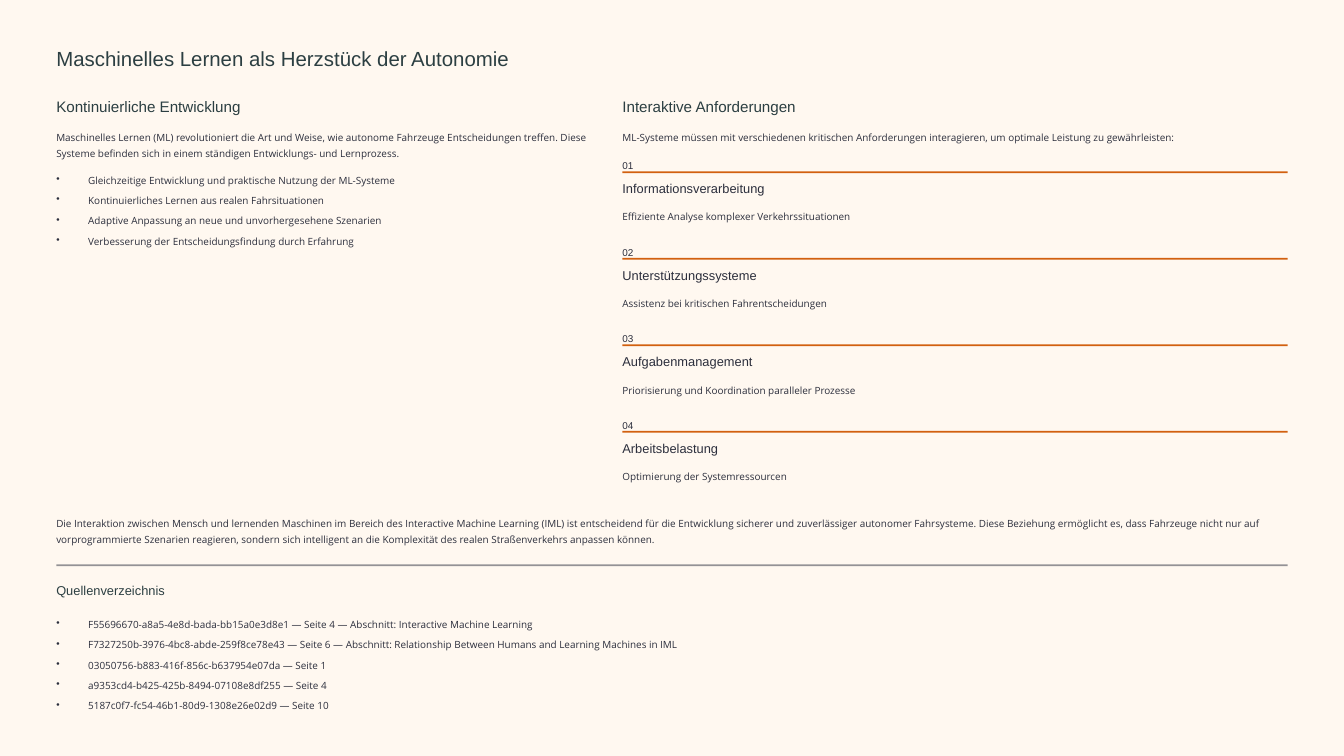
from dataclasses import dataclass

from lxml.etree import SubElement
from pptx import Presentation
from pptx.dml.color import RGBColor
from pptx.enum.shapes import MSO_SHAPE
from pptx.enum.text import MSO_ANCHOR, MSO_AUTO_SIZE, PP_ALIGN
from pptx.oxml.ns import qn
from pptx.util import Inches, Pt


@dataclass(frozen=True)
class Theme:
    paper: str = "FFF8F0"
    head: str = "2C3F42"
    ink: str = "2B2E3C"
    accent: str = "D2600F"
    sans: str = "Arial"
    prose: str = "Open Sans"
    title: float = 17.5
    section: float = 13
    topic: float = 11
    body: float = 8.5
    line: float = 14
    gap: float = 3.5


class Page:
    """Draws text and rules on one slide in a shared theme."""

    def __init__(self, deck, theme):
        self.theme = theme
        self.slide = deck.slides.add_slide(deck.slide_layouts[5])
        fill = self.slide.background.fill
        fill.solid()
        fill.fore_color.rgb = RGBColor.from_string(theme.paper)

    def style(self, shape, lines, size, face, color, pitch, wrap):
        frame = shape.text_frame
        frame.text = "\n".join(lines)
        frame.auto_size = MSO_AUTO_SIZE.NONE
        frame.word_wrap = wrap
        frame.vertical_anchor = MSO_ANCHOR.TOP
        frame.margin_left = frame.margin_right = 0
        frame.margin_top = frame.margin_bottom = 0
        for para in frame.paragraphs:
            para.alignment = PP_ALIGN.LEFT
            para.line_spacing = Pt(pitch)
            for run in para.runs:
                run.font.size = Pt(size)
                run.font.name = face
                run.font.color.rgb = RGBColor.from_string(color)

    def box(self, left, top, width, height):
        return self.slide.shapes.add_textbox(
            Inches(left), Inches(top), Inches(width), Inches(height))

    def title(self, text, left, top, width, height):
        shape = self.slide.shapes.title
        shape.left, shape.top = Inches(left), Inches(top)
        shape.width, shape.height = Inches(width), Inches(height)
        t = self.theme
        self.style(shape, [text], t.title, t.sans, t.head, 22, False)

    def section(self, text, left, top, width):
        t = self.theme
        self.style(self.box(left, top, width, 0.23), [text],
                   t.section, t.sans, t.head, 16.5, False)

    def topic(self, text, left, top, width, color):
        t = self.theme
        self.style(self.box(left, top, width, 0.19), [text],
                   t.topic, t.sans, color, t.line, False)

    def label(self, text, left, top):
        t = self.theme
        self.style(self.box(left, top, 0.12, 0.16), [text],
                   t.body, t.sans, t.ink, t.line, False)

    def prose(self, text, left, top, width, height=0.2, wrap=False):
        t = self.theme
        self.style(self.box(left, top, width, height), [text],
                   t.body, t.prose, t.ink, t.line, wrap)

    def bullets(self, items, left, top, width):
        t = self.theme
        height = 0.2 + (len(items) - 1) * (t.line + t.gap) / 72
        shape = self.box(left, top, width, height)
        self.style(shape, items, t.body, t.prose, t.ink, t.line, False)
        for index, para in enumerate(shape.text_frame.paragraphs):
            if index:
                para.space_before = Pt(t.gap)
            props = para._p.get_or_add_pPr()
            props.set("marL", str(Inches(0.38)))
            props.set("indent", str(Inches(-0.38)))
            SubElement(props, qn("a:buChar"), char="•")

    def rule(self, left, top, width, color, alpha=100):
        bar = self.slide.shapes.add_shape(
            MSO_SHAPE.RECTANGLE, Inches(left), Inches(top), Inches(width), Inches(0.02))
        bar.shadow.inherit = False
        bar.line.fill.background()
        bar.fill.solid()
        bar.fill.fore_color.rgb = RGBColor.from_string(color)
        if alpha < 100:
            tint = bar._element.spPr.find(qn("a:solidFill"))[0]
            SubElement(tint, qn("a:alpha"), val=str(alpha * 1000))


def main():
    deck = Presentation()
    deck.slide_width, deck.slide_height = Inches(16), Inches(9)
    theme = Theme()
    page = Page(deck, theme)
    left, right = 0.67, 7.41
    half, wide, full = 6.43, 7.92, 14.66

    page.title("Maschinelles Lernen als Herzstück der Autonomie", left, 0.53, 5.84, 0.31)

    page.section("Kontinuierliche Entwicklung", left, 1.15, 2.52)
    page.prose(
        "Maschinelles Lernen (ML) revolutioniert die Art und Weise, wie autonome Fahrzeuge "
        "Entscheidungen treffen. Diese Systeme befinden sich in einem ständigen "
        "Entwicklungs- und Lernprozess.", left, 1.51, half, 0.4, True)
    page.bullets([
        "Gleichzeitige Entwicklung und praktische Nutzung der ML-Systeme",
        "Kontinuierliches Lernen aus realen Fahrsituationen",
        "Adaptive Anpassung an neue und unvorhergesehene Szenarien",
        "Verbesserung der Entscheidungsfindung durch Erfahrung",
    ], left, 2.02, half)

    page.section("Interaktive Anforderungen", right, 1.15, 2.36)
    page.prose(
        "ML-Systeme müssen mit verschiedenen kritischen Anforderungen interagieren, "
        "um optimale Leistung zu gewährleisten:", right, 1.51, wide)
    needs = [
        ("Informationsverarbeitung", 1.92, "Effiziente Analyse komplexer Verkehrssituationen"),
        ("Unterstützungssysteme", 1.75, "Assistenz bei kritischen Fahrentscheidungen"),
        ("Aufgabenmanagement", 1.69, "Priorisierung und Koordination paralleler Prozesse"),
        ("Arbeitsbelastung", 1.56, "Optimierung der Systemressourcen"),
    ]
    for index, (name, width, text) in enumerate(needs):
        top = 1.85 + 1.03 * index
        page.label(f"{index + 1:02}", right, top)
        page.rule(right, top + 0.19, wide, theme.accent)
        page.topic(name, right, top + 0.29, width, theme.ink)
        page.prose(text, right, top + 0.61, wide)

    page.prose(
        "Die Interaktion zwischen Mensch und lernenden Maschinen im Bereich des Interactive "
        "Machine Learning (IML) ist entscheidend für die Entwicklung sicherer und "
        "zuverlässiger autonomer Fahrsysteme. Diese Beziehung ermöglicht es, dass Fahrzeuge "
        "nicht nur auf vorprogrammierte Szenarien reagieren, sondern sich intelligent an die "
        "Komplexität des realen Straßenverkehrs anpassen können.", left, 6.11, full, 0.4, True)
    page.rule(left, 6.72, full, theme.ink, 50)

    page.topic("Quellenverzeichnis", left, 6.93, 1.56, theme.head)
    page.bullets([
        "F55696670-a8a5-4e8d-bada-bb15a0e3d8e1 — Seite 4 — Abschnitt: "
        "Interactive Machine Learning",
        "F7327250b-3976-4bc8-abde-259f8ce78e43 — Seite 6 — Abschnitt: "
        "Relationship Between Humans and Learning Machines in IML",
        "03050756-b883-416f-856c-b637954e07da — Seite 1",
        "a9353cd4-b425-425b-8494-07108e8df255 — Seite 4",
        "5187c0f7-fc54-46b1-80d9-1308e26e02d9 — Seite 10",
    ], left, 7.31, full)

    deck.save("out.pptx")


if __name__ == "__main__":
    main()
